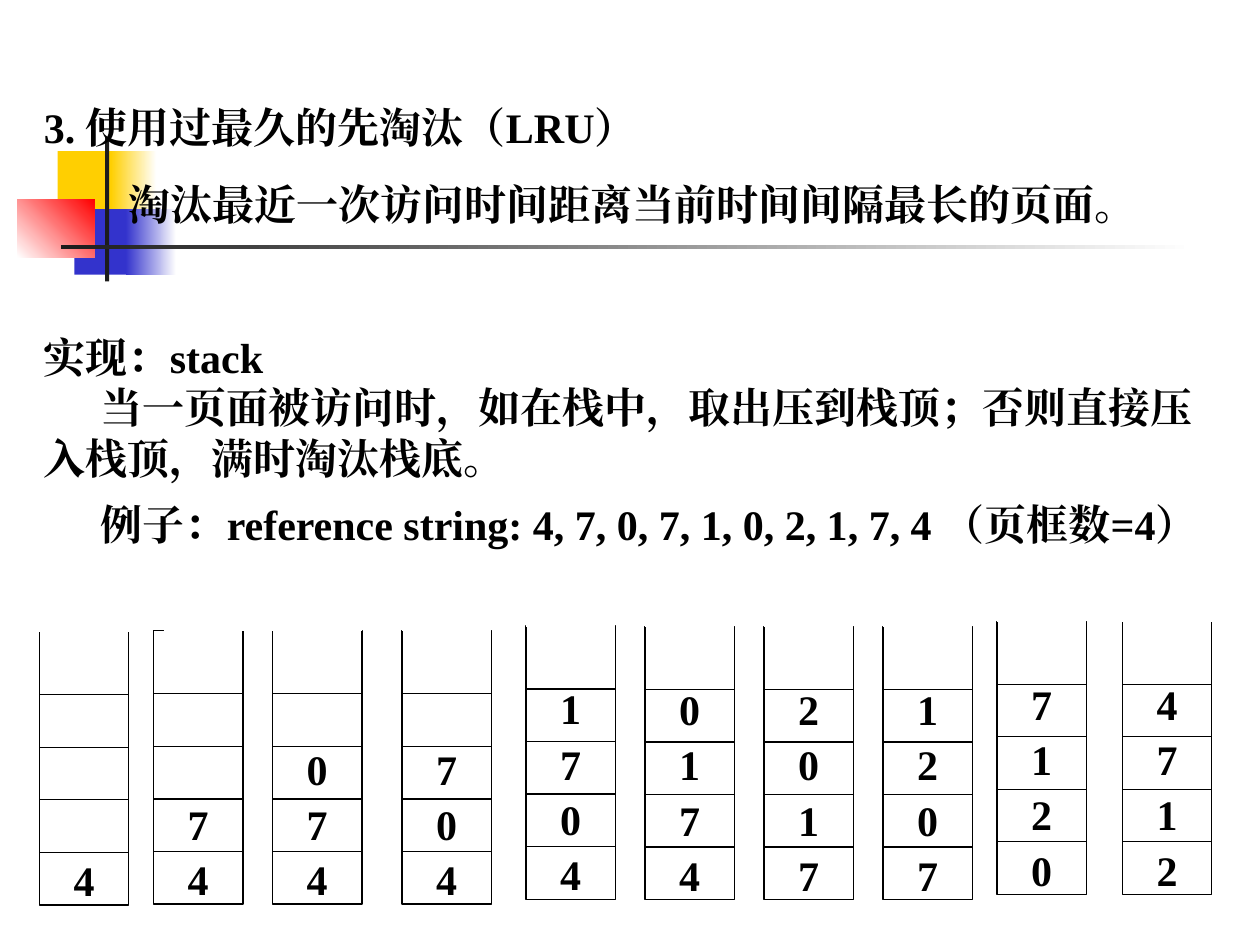
"""Builds the slide on LRU page replacement with its ten stack states."""
from pptx import Presentation
from pptx.dml.color import RGBColor as Color
from pptx.enum.shapes import MSO_CONNECTOR as Link, MSO_SHAPE as Form
from pptx.enum.text import MSO_ANCHOR as Anchor, PP_ALIGN as Align
from pptx.oxml.ns import qn
from pptx.oxml.xmlchemy import OxmlElement as Node
from pptx.util import Pt

BLACK = Color(0, 0, 0)
WHITE = Color(255, 255, 255)
GOLD = Color(0xFF, 0xCF, 0x01)
BLUE = Color(0x33, 0x33, 0xCC)
RED = Color(255, 0, 0)
DARK = Color(0x1C, 0x1C, 0x1C)
FONT = "Times New Roman"

BARS = [
    (33, 86.4, 34.7, 37.4, GOLD, None, 0),
    (63.4, 86.4, 26, 37.4, GOLD, WHITE, 0),
    (42.5, 119.5, 33, 37.4, BLUE, None, 0),
    (72, 119.5, 28.8, 37.4, BLUE, WHITE, 0),
    (10, 113.8, 44, 33.4, WHITE, RED, 45),
    (60, 78, 2.4, 82.8, DARK, None, 0),
    (34.6, 140, 648, 2.6, DARK, WHITE, 0),
]
LINES = [
    ("3. 使用过最久的先淘汰（LRU）", 0, 0, 28.7),
    ("淘汰最近一次访问时间距离当前时间间隔最长的页面。", 48.5, 15, 28.7),
    ("实现：stack", 0, 59, 28.7),
    ("当一页面被访问时，如在栈中，取出压到栈顶；否则直接压入栈顶，满时淘汰栈底。",
     32.5, 0, 28.7),
    ("例子：reference string: 4, 7, 0, 7, 1, 0, 2, 1, 7, 4 （页框数=4）", 32.5, 15, 23),
]
STACKS = [
    (22.5, 361, "4", 0), (87.7, 360.5, "74", 5.8), (155.7, 360.5, "074", 0),
    (229.7, 360.5, "704", 0), (300.5, 357.7, "1704", 0),
    (368.5, 358, "0174", 0), (436.5, 358, "2017", 0), (504.5, 358, "1207", 0),
    (569.7, 355, "7120", 0), (641.3, 355, "4712", 0),
]
WIDE, HIGH = 51.1, 156.2


def add_run(para, text):
    run = para.add_run()
    run.text = text
    font = run.font
    font.size, font.bold, font.name = Pt(24), True, FONT
    font.color.rgb = BLACK
    east = Node("a:ea")
    east.set("typeface", FONT)
    font._element.find(qn("a:latin")).addnext(east)


def add_bar(shapes, left, top, wide, high, start, end, angle):
    bar = shapes.add_shape(Form.RECTANGLE, Pt(left), Pt(top), Pt(wide), Pt(high))
    bar.shadow.inherit = False
    bar.line.fill.background()
    if end is None:
        bar.fill.solid()
        bar.fill.fore_color.rgb = start
        return
    bar.fill.gradient()
    bar.fill.gradient_angle = angle
    for stop, tint, place in zip(bar.fill.gradient_stops, (start, end), (0, 1)):
        stop.color.rgb = tint
        stop.position = place


def add_body(shapes):
    frame = shapes.add_textbox(Pt(18), Pt(54.7), Pt(678.2), Pt(286.6)).text_frame
    frame.word_wrap = True
    for rank, (text, inset, gap, pitch) in enumerate(LINES):
        para = frame.add_paragraph() if rank else frame.paragraphs[0]
        para.line_spacing = Pt(pitch)
        para.space_before = Pt(gap)
        if inset:
            para._p.get_or_add_pPr().set("indent", str(Pt(inset)))
        add_run(para, text)


def add_rule(shapes, left, top, tint):
    rule = shapes.add_connector(
        Link.STRAIGHT, Pt(left), Pt(top), Pt(left + WIDE), Pt(top))
    rule.line.color.rgb = tint
    rule.line.width = Pt(0.75)
    rule._element.spPr.append(Node("a:effectLst"))


def add_stack(shapes, left, top, pages, shift):
    group = shapes.add_group_shape().shapes
    box = group.add_shape(Form.RECTANGLE, Pt(left), Pt(top), Pt(WIDE), Pt(HIGH))
    box.shadow.inherit = False
    box.fill.background()
    box.line.color.rgb = BLACK
    box.line.width = Pt(0.75)
    frame = box.text_frame
    frame.word_wrap = False
    frame.vertical_anchor = Anchor.BOTTOM
    frame.margin_top = frame.margin_bottom = 0
    for rank, page in enumerate(pages):
        para = frame.add_paragraph() if rank else frame.paragraphs[0]
        para.alignment = Align.CENTER
        para.line_spacing = Pt(31.6)
        add_run(para, page)
    for drop in range(126, 35, -30):
        add_rule(group, left, top + drop, BLACK)
    add_rule(group, left + shift, top, WHITE)


def main():
    deck = Presentation()
    deck.slide_width, deck.slide_height = Pt(720), Pt(540)
    shapes = deck.slides.add_slide(deck.slide_layouts[6]).shapes
    for bar in BARS:
        add_bar(shapes, *bar)
    add_body(shapes)
    for stack in STACKS:
        add_stack(shapes, *stack)
    deck.save("out.pptx")


if __name__ == "__main__":
    main()
